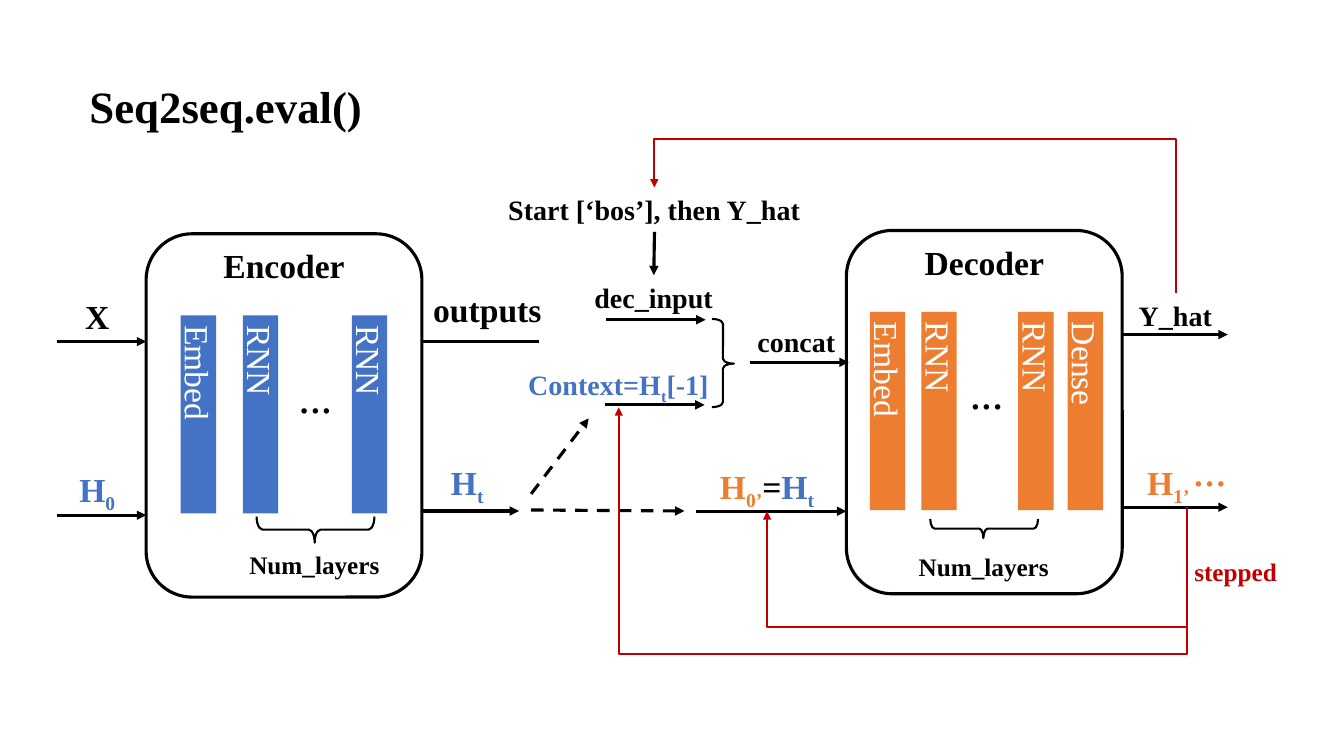
from lxml import etree
from pptx import Presentation
from pptx import util as u
from pptx.dml import color
from pptx.enum import dml, shapes, text
from pptx.oxml import ns

Pt = u.Pt
FONT = "Times New Roman"
BLACK, WHITE, BLUE, ORANGE, RED = "000000", "FFFFFF", "4472C4", "ED7D31", "C00000"


def rgb(value):
    return color.RGBColor.from_string(value)


def write(frame, words, size=24, fill=BLACK, bold=True, align=text.PP_ALIGN.CENTER):
    para = frame.paragraphs[0]
    para.alignment = align
    pieces = [(words, fill, False)] if isinstance(words, str) else words
    for piece, tint, lowered in pieces:
        span = para.add_run()
        span.text = piece
        span.font.name = FONT
        span.font.size = Pt(size)
        span.font.bold = bold
        span.font.color.rgb = rgb(tint)
        if lowered:
            span.font._element.set("baseline", "-25000")


def label(page, words, left, top, width, height=36, **format):
    box = page.shapes.add_textbox(Pt(left), Pt(top), Pt(width), Pt(height))
    box.text_frame.word_wrap = True
    box.text_frame.auto_size = text.MSO_AUTO_SIZE.SHAPE_TO_FIT_TEXT
    write(box.text_frame, words, **format)


def outline(page, kind, left, top, width, height, weight):
    shape = page.shapes.add_shape(kind, Pt(left), Pt(top), Pt(width), Pt(height))
    shape.shadow.inherit = False
    shape.fill.background()
    shape.line.color.rgb = rgb(BLACK)
    shape.line.width = Pt(weight)
    return shape


def brace(page, left, top, width, height, turn=0):
    shape = outline(page, shapes.MSO_SHAPE.RIGHT_BRACE, left, top, width, height, 1.5)
    shape.adjustments[0] = 0.225
    shape.adjustments[1] = 0.507
    shape.rotation = turn


def bar(page, name, left, top, fill):
    shape = page.shapes.add_shape(
        shapes.MSO_SHAPE.RECTANGLE, Pt(left), Pt(top), Pt(25.3), Pt(141.6))
    shape.shadow.inherit = False
    shape.fill.solid()
    shape.fill.fore_color.rgb = rgb(fill)
    shape.line.fill.background()
    frame = shape.text_frame
    frame.vertical_anchor = text.MSO_ANCHOR.MIDDLE
    frame._txBody.bodyPr.set("vert", "eaVert")
    write(frame, name, fill=WHITE, bold=False)


def connect(page, kind, x1, y1, x2, y2, fill, weight, head=True, dashed=False):
    line = page.shapes.add_connector(kind, Pt(x1), Pt(y1), Pt(x2), Pt(y2))
    line.line.color.rgb = rgb(fill)
    line.line.width = Pt(weight)
    if dashed:
        line.line.dash_style = dml.MSO_LINE.DASH
    if head:
        etree.SubElement(line.line._get_or_add_ln(), ns.qn("a:tailEnd"), type="triangle")
    etree.SubElement(line._element.spPr, ns.qn("a:effectLst"))
    return line


def arrow(page, x1, y1, x2, y2, **format):
    connect(page, shapes.MSO_CONNECTOR.STRAIGHT, x1, y1, x2, y2, BLACK, 2.25, **format)


def feedback(page, x1, y1, x2, y2, lane):
    middle_x, middle_y = (x1 + x2) / 2, (y1 + y2) / 2
    rise, reach = (y2 - y1) / 2, abs(x2 - x1) / 2
    line = connect(page, shapes.MSO_CONNECTOR.ELBOW, middle_x - rise, middle_y - reach,
                   middle_x + rise, middle_y + reach, RED, 1.5)
    properties = line._element.spPr
    properties.find(ns.qn("a:xfrm")).set("rot", "5400000")
    geometry = properties.find(ns.qn("a:prstGeom"))
    guides = geometry.find(ns.qn("a:avLst"))
    if guides is None:
        guides = etree.SubElement(geometry, ns.qn("a:avLst"))
    bend = round((lane - y1) / (y2 - y1) * 100000)
    etree.SubElement(guides, ns.qn("a:gd"), name="adj1", fmla=f"val {bend}")


def module(page, name, left, top, fill, bars, dots, fold, caption):
    outline(page, shapes.MSO_SHAPE.ROUNDED_RECTANGLE, left, top, 197, 259.5, 2.25)
    label(page, name, left, top + 4.5, 197)
    for title, offset in bars:
        bar(page, title, left + offset, top + 58.2, fill)
    label(page, "···", left + dots, top + 107, 44.6)
    fold_left, fold_top, width, height = fold
    brace(page, left + fold_left, top + fold_top, width, height, turn=90)
    label(page, "Num_layers", left + caption[0], top + caption[1], 122.4, 29, size=18)


def main():
    deck = Presentation()
    deck.slide_width, deck.slide_height = Pt(960), Pt(540)
    page = deck.slides.add_slide(deck.slide_layouts[6])

    label(page, "Seq2seq.eval()", 36, 52.6, 250.6, 46, size=32)
    module(page, "Encoder", 104.4, 167, BLUE,
           [("Embed", 24.6), ("RNN", 69), ("RNN", 146.9)],
           98.6, (111.6, 169.2, 18.7, 84.2), (59, 221.8))
    module(page, "Decoder", 604.6, 164.6, ORANGE,
           [("Embed", 16.7), ("RNN", 53.5), ("RNN", 122.7), ("Dense", 158)],
           77.8, (91.5, 174.5, 13.7, 77), (36.9, 225.6))
    brace(page, 508.5, 227.8, 15.8, 63)

    label(page, "X", 41, 208, 56.9)
    label(page, [("H", BLUE, False), ("0", BLUE, True)], 41, 331.2, 56.9)
    label(page, "outputs", 296.6, 203, 103)
    label(page, [("H", BLUE, False), ("t", BLUE, True)], 305.3, 326.2, 56.9)
    label(page, [("H", ORANGE, False), ("0’", ORANGE, True), ("=", BLACK, False),
                 ("H", BLUE, False), ("t", BLUE, True)], 497.5, 329, 100.8)
    label(page, [("H", ORANGE, False), ("1’ ", ORANGE, True), ("···", ORANGE, False)],
          794.9, 326.2, 105.8)
    label(page, "Start [‘bos’], then Y_hat", 348.5, 133.9, 237.6, 31.7, size=20)
    label(page, "dec_input", 404.6, 196.6, 124.6, 31.7, size=20)
    label(page, [("Context=H", BLUE, False), ("t", BLUE, True), ("[-1]", BLUE, False)],
          364.3, 259.2, 154.8, 31.7, size=20)
    label(page, "concat", 527.8, 228.2, 82, 31.7, size=20)
    label(page, "Y_hat", 790.6, 209.5, 97.9, 31.7, size=20)
    label(page, "stepped", 846, 393.8, 77, 29, size=18, fill=RED, align=text.PP_ALIGN.LEFT)

    for x1, y, x2 in [(41, 244, 104.4), (41, 368, 104.4), (301.7, 365, 370.8),
                      (432, 289.2, 503.3), (432.7, 228.4, 504), (535.7, 258.8, 606.2),
                      (497.5, 365.2, 604.6), (801.4, 239, 877), (801.4, 362.3, 877)]:
        arrow(page, x1, y, x2, y)
    arrow(page, 301.7, 244, 385.2, 244, head=False)
    arrow(page, 467.5, 165.6, 467, 196.6)
    arrow(page, 379.4, 364.3, 488.9, 365, dashed=True)
    arrow(page, 379.4, 352.8, 420.5, 298.8, dashed=True)

    feedback(page, 848, 362.2, 547.9, 365.2, 448)
    feedback(page, 848, 362.2, 442, 290.9, 467)
    feedback(page, 840, 209.5, 467.4, 133.9, 99.2)
    deck.save("out.pptx")


if __name__ == "__main__":
    main()
